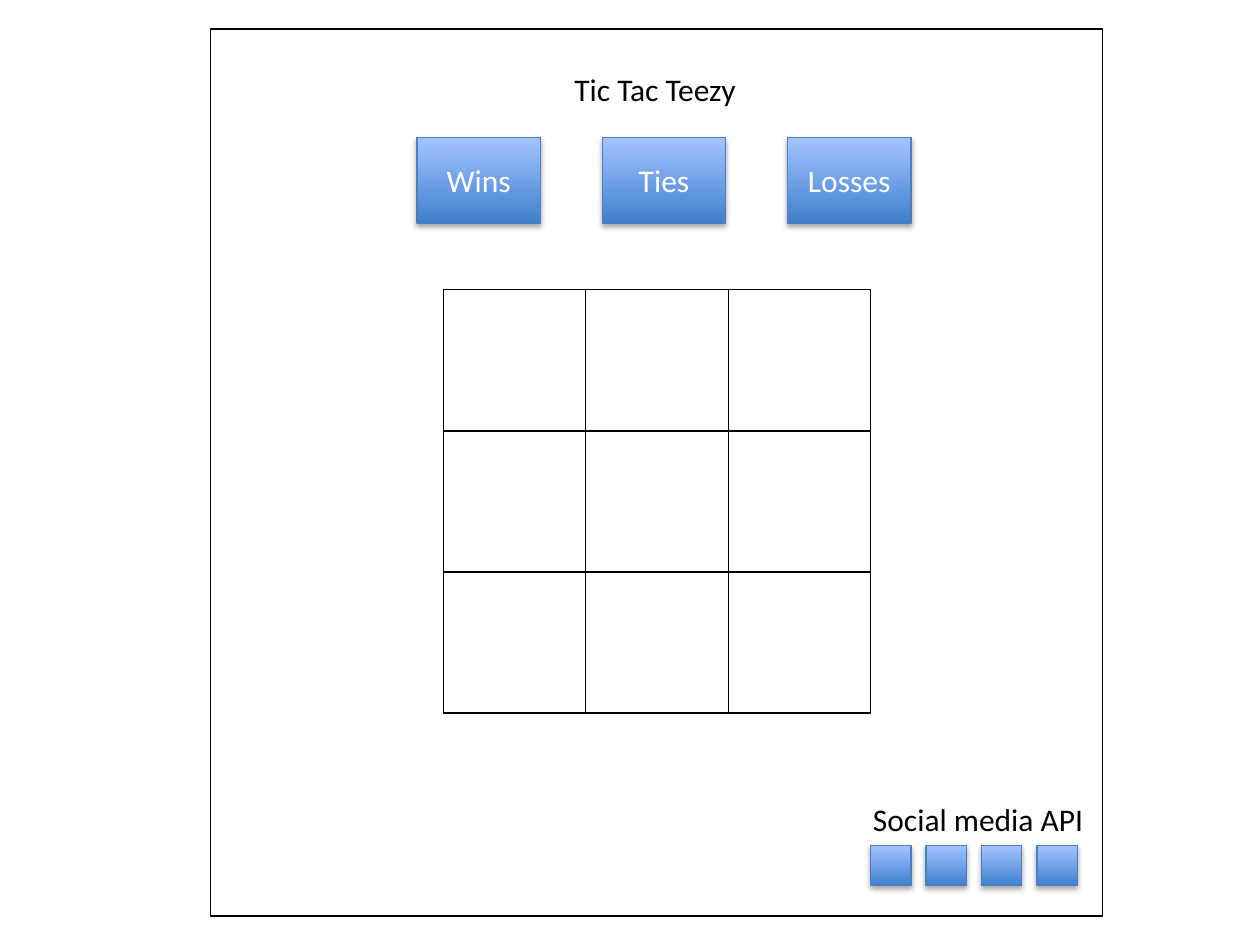
"""Build a wireframe of a tic-tac-toe game screen."""
from dataclasses import dataclass
from itertools import product

from lxml.etree import SubElement
from pptx import Presentation
from pptx.dml.color import RGBColor
from pptx.enum.shapes import MSO_SHAPE
from pptx.enum.text import MSO_ANCHOR, MSO_AUTO_SIZE, PP_ALIGN
from pptx.oxml.ns import qn
from pptx.util import Inches, Pt


@dataclass(frozen=True)
class Theme:
    ink: str = "000000"
    paper: str = "FFFFFF"
    gradient: tuple = ("3F80CE", "A4C4FF")
    edge: str = "4B7EBC"
    font: str = "Calibri"
    text_size: int = 18
    hairline: float = 0
    edge_width: float = 0.75


class Wireframe:
    """Draws on one slide, with lengths in columns and rows of 0.1 inch."""

    def __init__(self, slide, theme):
        self.slide = slide
        self.theme = theme

    def place(self, column, row, columns, rows):
        return [Inches(length / 10) for length in (column, row, columns, rows)]

    def rectangle(self, parent, box, line, width):
        shape = parent.add_shape(MSO_SHAPE.RECTANGLE, *self.place(*box))
        shape.line.color.rgb = RGBColor.from_string(line)
        shape.line.width = Pt(width)
        shape.shadow.inherit = False
        return shape

    def outline(self, *box, parent=None):
        shape = self.rectangle(parent or self.slide.shapes, box, self.theme.ink, self.theme.hairline)
        shape.fill.background()

    def board(self, column, row, columns, rows, count=3):
        group = self.slide.shapes.add_group_shape()
        for down, across in product(range(count), repeat=2):
            self.outline(column + across * columns, row + down * rows, columns, rows, parent=group.shapes)

    def button(self, *box, text=""):
        shape = self.rectangle(self.slide.shapes, box, self.theme.edge, self.theme.edge_width)
        shape.fill.gradient()
        shape.fill.gradient_angle = 90
        for stop, position, color in zip(shape.fill.gradient_stops, (0, 1), self.theme.gradient):
            stop.position = position
            stop.color.rgb = RGBColor.from_string(color)
        self.drop_shadow(shape)
        if text:
            shape.text_frame.vertical_anchor = MSO_ANCHOR.MIDDLE
            self.set_text(shape.text_frame, text, self.theme.paper, PP_ALIGN.CENTER)

    def drop_shadow(self, shape):
        effects = shape._element.spPr.find(qn("a:effectLst"))
        shadow = SubElement(effects, qn("a:outerShdw"), blurRad="40000", dist="23000",
                            dir="5400000", rotWithShape="0")
        color = SubElement(shadow, qn("a:srgbClr"), val=self.theme.ink)
        SubElement(color, qn("a:alpha"), val="35000")

    def button_row(self, column, row, columns, rows, pitch, labels):
        for index, label in enumerate(labels):
            self.button(column + index * pitch, row, columns, rows, text=label)

    def label(self, *box, text):
        frame = self.slide.shapes.add_textbox(*self.place(*box)).text_frame
        frame.word_wrap = False
        frame.auto_size = MSO_AUTO_SIZE.SHAPE_TO_FIT_TEXT
        self.set_text(frame, text, self.theme.ink, PP_ALIGN.LEFT)

    def set_text(self, frame, text, color, alignment):
        frame.text = text
        paragraph = frame.paragraphs[0]
        paragraph.alignment = alignment
        for run in paragraph.runs:
            run.font.name = self.theme.font
            run.font.size = Pt(self.theme.text_size)
            run.font.color.rgb = RGBColor.from_string(color)


def main():
    presentation = Presentation()
    presentation.slide_width = Inches(10)
    presentation.slide_height = Inches(7.5)
    slide = presentation.slides.add_slide(presentation.slide_layouts[6])
    screen = Wireframe(slide, Theme())
    screen.outline(16.7, 2.3, 70.8, 70.4)
    screen.board(35.2, 23, 11.3, 11.2)
    screen.label(44.6, 5.1, 15.4, 4, text="Tic Tac Teezy")
    screen.button_row(33.1, 10.9, 9.8, 6.8, 14.7, ("Wins", "Ties", "Losses"))
    screen.button_row(69.1, 67.1, 3.2, 3.2, 4.4, [""] * 4)
    screen.label(68.3, 63, 18.9, 4, text="Social media API")
    presentation.save("out.pptx")


main()
